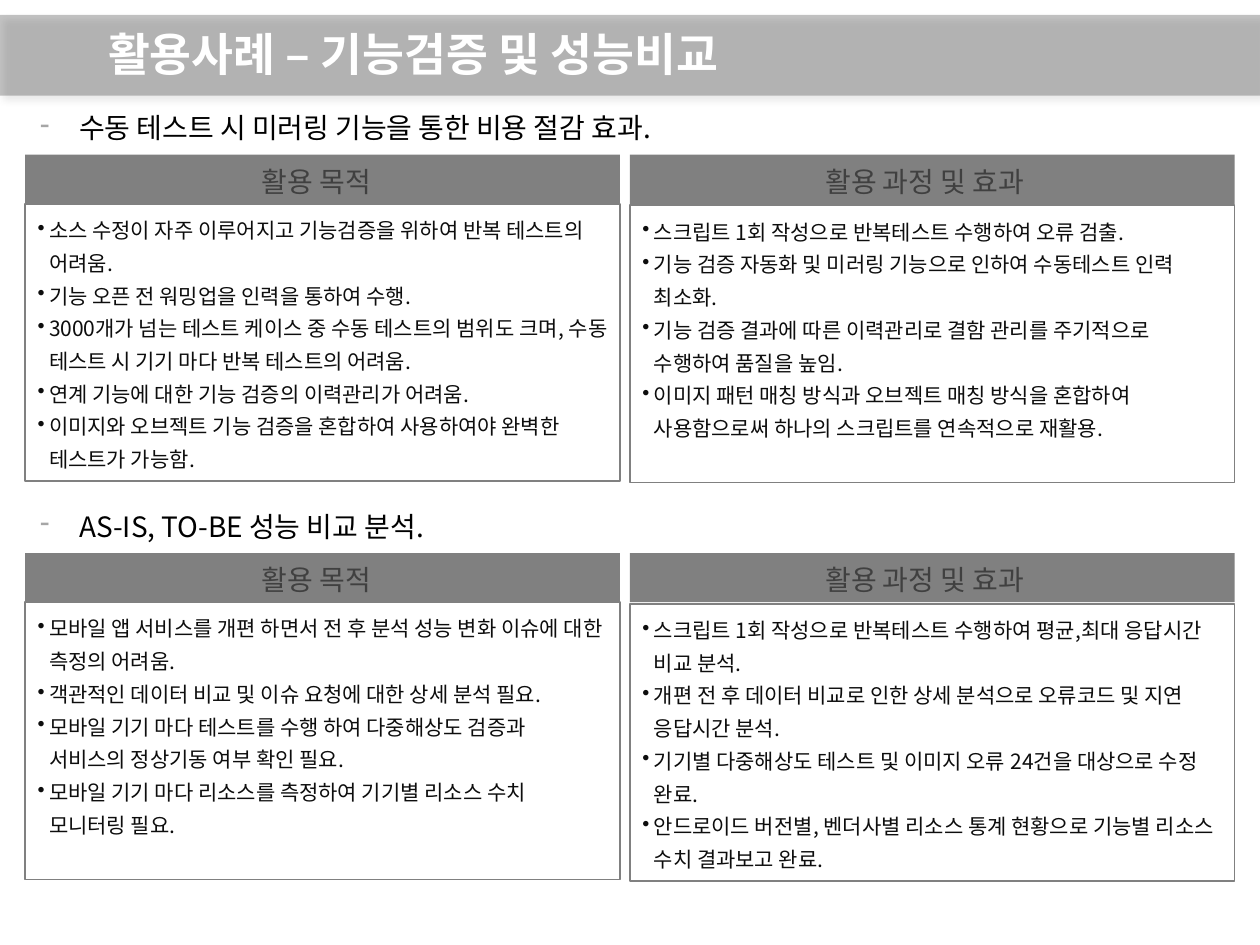
from lxml import etree
from pptx import Presentation
from pptx import util as u
from pptx.dml.color import RGBColor
from pptx.enum import shapes, text
from pptx.oxml import ns

WHITE = RGBColor(0xFF, 0xFF, 0xFF)
BLACK = RGBColor(0, 0, 0)
INK = RGBColor(0x0D, 0x0D, 0x0D)
DARK = RGBColor(0x40, 0x40, 0x40)
GRAY = RGBColor(0x80, 0x80, 0x80)
DASH = RGBColor(0xA6, 0xA6, 0xA6)

PURPOSE, EFFECT = "활용 목적", "활용 과정 및 효과"
COLUMNS = [(PURPOSE, 0.51, 11.99, 0), (EFFECT, 12.7, 12.19, 0.03)]  # left, width, body drop
SECTION_TOP, SECTION_PITCH = 2.11, 8.03
HEADER_OFFSET, HEADER_HEIGHT, BODY_HEIGHT = 1.01, 0.99, 5.59

SECTIONS = [
    ("수동 테스트 시 미러링 기능을 통한 비용 절감 효과.", [
        ["소스 수정이 자주 이루어지고 기능검증을 위하여 반복 테스트의 어려움.",
         "기능 오픈 전 워밍업을 인력을 통하여 수행.",
         "3000개가 넘는 테스트 케이스 중 수동 테스트의 범위도 크며, "
         "수동 테스트 시 기기 마다 반복 테스트의 어려움.",
         "연계 기능에 대한 기능 검증의 이력관리가 어려움.",
         "이미지와 오브젝트 기능 검증을 혼합하여 사용하여야 완벽한 테스트가 가능함."],
        ["스크립트 1회 작성으로 반복테스트 수행하여 오류 검출.",
         "기능 검증 자동화 및 미러링 기능으로 인하여 수동테스트 인력 최소화.",
         "기능 검증 결과에 따른 이력관리로 결함 관리를 주기적으로 수행하여 품질을 높임.",
         "이미지 패턴 매칭 방식과 오브젝트 매칭 방식을 혼합하여 "
         "사용함으로써 하나의 스크립트를 연속적으로 재활용."],
    ]),
    ("AS-IS, TO-BE 성능 비교 분석.", [
        ["모바일 앱 서비스를 개편 하면서 전 후 분석 성능 변화 이슈에 대한 측정의 어려움.",
         "객관적인 데이터 비교 및 이슈 요청에 대한 상세 분석 필요.",
         "모바일 기기 마다 테스트를 수행 하여 다중해상도 검증과 서비스의 정상기동 여부 확인 필요.",
         "모바일 기기 마다 리소스를 측정하여 기기별 리소스 수치 모니터링 필요."],
        ["스크립트 1회 작성으로 반복테스트 수행하여 평균,최대 응답시간 비교 분석.",
         "개편 전 후 데이터 비교로 인한 상세 분석으로 오류코드 및 지연 응답시간 분석.",
         "기기별 다중해상도 테스트 및 이미지 오류 24건을 대상으로 수정 완료.",
         "안드로이드 버전별, 벤더사별 리소스 통계 현황으로 기능별 리소스 수치 결과보고 완료."],
    ]),
]


def sub(parent, tag, **attributes):
    return etree.SubElement(parent, ns.qn(tag), attributes)


class Deck:
    def __init__(self, slide, font="Noto Sans CJK KR"):
        self.slide = slide
        self.font = font

    def rect(self, parent, left, top, width, height, fill, line=None):
        shape = parent.add_shape(shapes.MSO_SHAPE.RECTANGLE,
                                 *map(u.Cm, (left, top, width, height)))
        shape.shadow.inherit = False
        shape.fill.solid()
        shape.fill.fore_color.rgb = fill
        if line is None:
            shape.line.fill.background()
        else:
            shape.line.color.rgb = line
            shape.line.width = u.Pt(1)
        return shape

    def textbox(self, parent, left, top, width, height):
        frame = parent.add_textbox(*map(u.Cm, (left, top, width, height))).text_frame
        frame.word_wrap = True
        return frame

    def set_paragraph(self, paragraph, words, size, color, align=text.PP_ALIGN.LEFT,
                      hang=0, bullet=None, bullet_color=None, font=None):
        """Fill a paragraph, with an optional hanging indent (cm) and bullet."""
        paragraph.text = words
        paragraph.alignment = align
        properties = paragraph._p.get_or_add_pPr()
        if hang:
            properties.set("marL", str(u.Cm(hang)))
            properties.set("indent", str(-u.Cm(hang)))
        if bullet_color:
            sub(sub(properties, "a:buClr"), "a:srgbClr", val=str(bullet_color))
        if bullet:
            sub(properties, "a:buChar", char=bullet)
        paragraph.font.name = font or self.font
        paragraph.font.size = u.Pt(size)
        paragraph.font.color.rgb = color

    def title_band(self, words):
        """Translucent band with a soft shadow, and the title on it."""
        band = self.rect(self.slide.shapes, 0, 0.3, 25.4, 1.63, BLACK)
        properties = band._element.spPr
        sub(properties.find(".//" + ns.qn("a:srgbClr")), "a:alpha", val="23000")
        shadow = sub(properties.find(ns.qn("a:effectLst")), "a:outerShdw",
                     blurRad=str(u.Pt(4)), dist=str(u.Pt(3)), dir=str(45 * 60000),
                     algn="tl", rotWithShape="0")
        sub(sub(shadow, "a:srgbClr", val=str(BLACK)), "a:alpha", val="40000")

        frame = self.textbox(self.slide.shapes, 1.93, 0.53, 23.57, 1.3)
        frame.vertical_anchor = text.MSO_ANCHOR.MIDDLE
        title = frame.paragraphs[0]
        self.set_paragraph(title, words, 26, WHITE, font="Arial")
        title.line_spacing = 0.78
        title.font.bold = True

    def heading(self, words, top):
        frame = self.textbox(self.slide.shapes, 0.56, top, 24.21, 0.94)
        frame.auto_size = text.MSO_AUTO_SIZE.SHAPE_TO_FIT_TEXT
        paragraph = frame.paragraphs[0]
        self.set_paragraph(paragraph, words, 16, BLACK, text.PP_ALIGN.JUSTIFY,
                           0.79, "-", DASH)
        paragraph.space_after = u.Pt(4)

    def header(self, words, left, top, width):
        group = self.slide.shapes.add_group_shape().shapes
        self.rect(group, left, top, width, HEADER_HEIGHT, GRAY)
        frame = self.textbox(group, left + 1.43, top + 0.2, width * 0.74, 0.76)
        frame.margin_left = frame.margin_right = frame.margin_top = frame.margin_bottom = 0
        frame.auto_size = text.MSO_AUTO_SIZE.SHAPE_TO_FIT_TEXT
        self.set_paragraph(frame.paragraphs[0], words, 16, DARK, text.PP_ALIGN.CENTER, 0.48)

    def bullet_box(self, items, left, top, width):
        box = self.rect(self.slide.shapes, left, top, width, BODY_HEIGHT, WHITE, GRAY)
        frame = box.text_frame
        frame.word_wrap = True
        frame.vertical_anchor = text.MSO_ANCHOR.TOP
        for index, item in enumerate(items):
            paragraph = frame.add_paragraph() if index else frame.paragraphs[0]
            self.set_paragraph(paragraph, item, 12, INK, hang=0.23, bullet="•")
            paragraph.line_spacing = 1.3


def main():
    presentation = Presentation()
    presentation.slide_width, presentation.slide_height = u.Cm(25.4), u.Cm(19.05)
    deck = Deck(presentation.slides.add_slide(presentation.slide_layouts[6]))
    deck.title_band("활용사례 – 기능검증 및 성능비교")
    for number, (heading, bodies) in enumerate(SECTIONS):
        top = SECTION_TOP + number * SECTION_PITCH
        header_top = top + HEADER_OFFSET
        for (label, left, width, drop), items in zip(COLUMNS, bodies):
            deck.bullet_box(items, left, header_top + HEADER_HEIGHT + drop, width)
            deck.header(label, left, header_top, width)
        deck.heading(heading, top)
    presentation.save("out.pptx")


if __name__ == "__main__":
    main()
